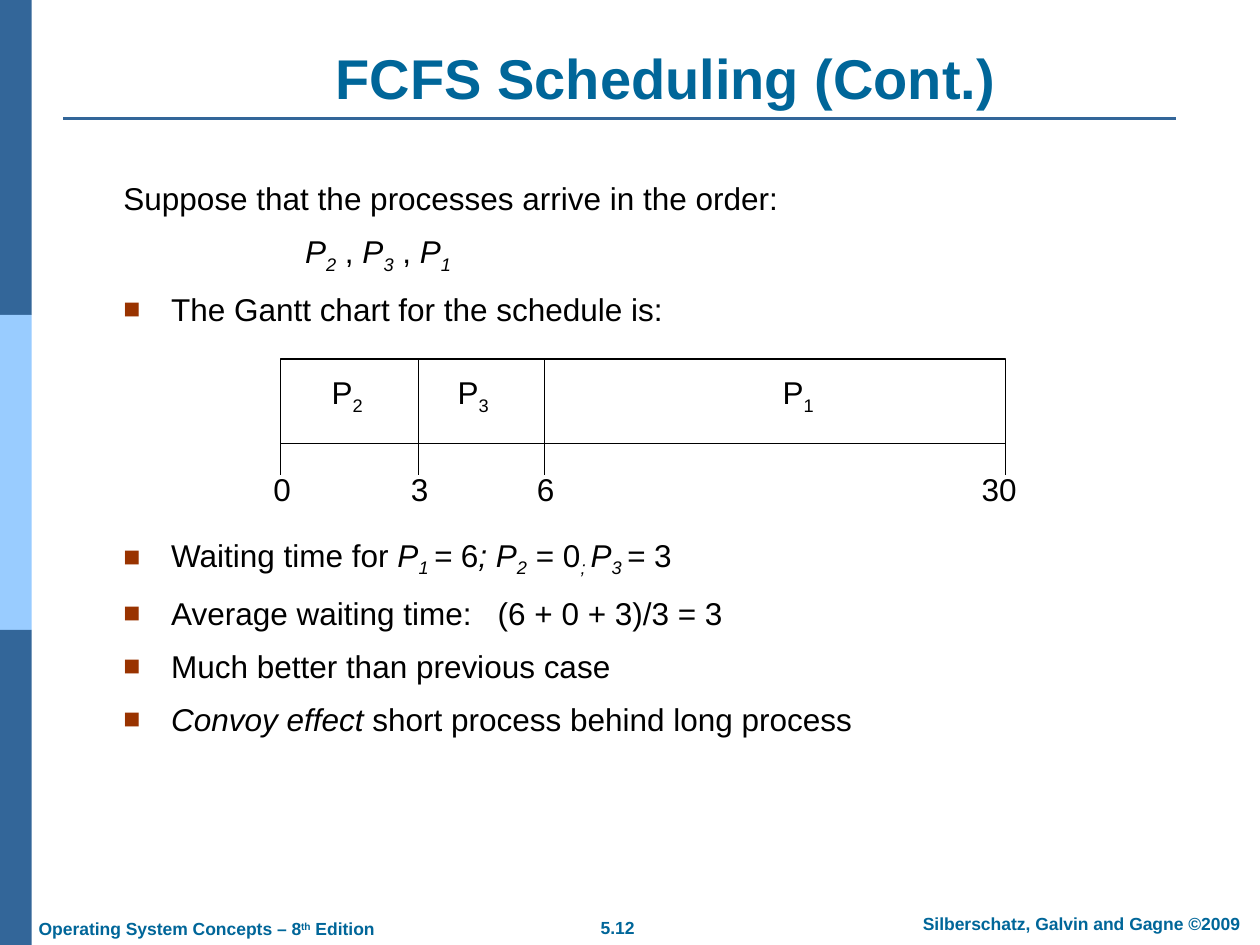
from dataclasses import dataclass

from lxml.etree import SubElement
from pptx import Presentation
from pptx.dml.color import RGBColor
from pptx.enum.shapes import MSO_CONNECTOR, MSO_SHAPE
from pptx.enum.text import MSO_ANCHOR, PP_ALIGN
from pptx.oxml.ns import qn
from pptx.util import Cm, Pt


@dataclass(frozen=True)
class Theme:
    face: str = "Arial"
    dark: str = "336699"
    light: str = "99CCFF"
    head: str = "006699"
    ink: str = "000000"
    paper: str = "FFFFFF"
    bullet: str = "993300"
    title: int = 32
    body: int = 18
    foot: int = 10


THEME = Theme()
BODY = {"size": THEME.body, "color": THEME.ink}
FOOT = {"size": THEME.foot, "color": THEME.head, "bold": True}
TITLE = {**FOOT, "size": THEME.title}
SHIFTS = {"^": "30000", "_": "-25000"}
GAP = 8.7
CHART_GAP = 118.7

FEET = [
    (11.2, 18.36, 2.5, PP_ALIGN.CENTER, [("5.12", "")]),
    (18.03, 18.29, 7.54, PP_ALIGN.CENTER,
     [("Silberschatz, Galvin and Gagne ©2009", "")]),
    (0.53, 18.39, 8, PP_ALIGN.LEFT,
     [("Operating System Concepts – 8", ""), ("th", "^"), (" Edition", "")]),
]

LINES = [
    ("plain", 0, [("Suppose that the processes arrive in the order:", "")]),
    ("order", GAP, [("P", "i"), ("2", "i_"), (" , ", ""), ("P", "i"), ("3", "i_"),
                    (" , ", ""), ("P", "i"), ("1", "i_")]),
    ("bullet", GAP, [("The Gantt chart for the schedule is:", "")]),
    ("bullet", CHART_GAP, [
        ("Waiting time for ", ""), ("P", "i"), ("1 ", "i_"), ("=", "i"), (" 6", ""),
        ("; P", "i"), ("2", "i_"), (" = 0", ""), ("; ", "i_"), ("P", "i"),
        ("3 ", "i_"), ("= ", "i"), ("3", "")]),
    ("bullet", GAP, [("Average waiting time:   (6 + 0 + 3)/3 = 3", "")]),
    ("bullet", GAP, [("Much better than previous case", "")]),
    ("bullet", GAP, [("Convoy effect", "i"), (" short process behind long process", "")]),
]

CHART_TOP, CHART_BASE, TICK_END = 7.24, 8.94, 9.58
MARKS = [("0", 5.66, 5.69), ("3", 8.43, 8.46), ("6", 10.97, 11), ("30", 20.27, 20.14)]
TASKS = [("2", 7), ("3", 9.54), ("1", 16.09)]


def add_bar(shapes, left, top, width, height, fill, line=None):
    bar = shapes.add_shape(MSO_SHAPE.RECTANGLE, Cm(left), Cm(top), Cm(width), Cm(height))
    bar.shadow.inherit = False
    bar.fill.solid()
    bar.fill.fore_color.rgb = RGBColor.from_string(fill)
    if line:
        bar.line.color.rgb = RGBColor.from_string(line)
        bar.line.width = Pt(0.75)
    else:
        bar.line.fill.background()


def add_line(shapes, start, end, color=THEME.ink, width=0.75):
    line = shapes.add_connector(MSO_CONNECTOR.STRAIGHT, *map(Cm, start + end))
    line.line.color.rgb = RGBColor.from_string(color)
    line.line.width = Pt(width)
    SubElement(line._element.spPr, qn("a:effectLst"))


def add_box(shapes, left, top, width, height, anchor=MSO_ANCHOR.TOP):
    frame = shapes.add_textbox(Cm(left), Cm(top), Cm(width), Cm(height)).text_frame
    frame.word_wrap = True
    frame.vertical_anchor = anchor
    return frame


def add_runs(para, runs, form):
    for text, style in runs:
        run = para.add_run()
        run.text = text
        values = {
            "name": THEME.face,
            "size": Pt(form["size"]),
            "bold": form.get("bold", False),
            "italic": "i" in style,
        }
        for key, value in values.items():
            setattr(run.font, key, value)
        run.font.color.rgb = RGBColor.from_string(form["color"])
        for sign, shift in SHIFTS.items():
            if sign in style:
                run._r.get_or_add_rPr().set("baseline", shift)


def add_label(shapes, place, runs, form, align=PP_ALIGN.CENTER, anchor=MSO_ANCHOR.TOP):
    para = add_box(shapes, *place, anchor).paragraphs[0]
    para.alignment = align
    add_runs(para, runs, form)


def set_indent(para, kind):
    left, first = {"plain": (0, 0), "order": (3.66, 0), "bullet": (0.96, -0.96)}[kind]
    props = para._p.get_or_add_pPr()
    props.set("marL", str(Cm(left)))
    props.set("indent", str(Cm(first)))
    if kind == "bullet":
        tint = SubElement(props, qn("a:buClr"))
        SubElement(tint, qn("a:srgbClr"), val=THEME.bullet)
        SubElement(props, qn("a:buSzPct"), val="90000")
        SubElement(props, qn("a:buFont"), typeface=THEME.face)
        SubElement(props, qn("a:buChar"), char="■")


def add_body(shapes):
    frame = add_box(shapes, 2.24, 3.48, 22.86, 12.6)
    for place, (kind, gap, runs) in enumerate(LINES):
        para = frame.add_paragraph() if place else frame.paragraphs[0]
        set_indent(para, kind)
        para.space_before = Pt(gap)
        add_runs(para, runs, BODY)


def add_chart(shapes):
    left, right = MARKS[0][1], MARKS[-1][1]
    add_bar(shapes, left, CHART_TOP, right - left, CHART_BASE - CHART_TOP,
            THEME.paper, THEME.ink)
    for text, edge, mid in MARKS:
        add_line(shapes, (edge, CHART_BASE), (edge, TICK_END))
        if left < edge < right:
            add_line(shapes, (edge, CHART_TOP), (edge, CHART_BASE))
        add_label(shapes, (mid - 1, 9.35, 2, 1.02), [(text, "")], BODY,
                  anchor=MSO_ANCHOR.MIDDLE)
    for index, mid in TASKS:
        add_label(shapes, (mid - 1, 7.39, 2, 1.12), [("P", ""), (index, "_")], BODY,
                  anchor=MSO_ANCHOR.MIDDLE)


def main():
    deck = Presentation()
    deck.slide_width, deck.slide_height = Cm(25.4), Cm(19.05)
    shapes = deck.slides.add_slide(deck.slide_layouts[6]).shapes
    for step, fill in enumerate((THEME.dark, THEME.light, THEME.dark)):
        add_bar(shapes, 0, step * 6.35, 0.64, 6.35, fill)
    add_line(shapes, (1.27, 2.39), (23.7, 2.39), THEME.dark, 1.5)
    for left, top, width, align, runs in FEET:
        add_label(shapes, (left, top, width, 0.69), runs, FOOT, align)
    add_label(shapes, (2.72, 0.76, 21.41, 1.6), [("FCFS Scheduling (Cont.)", "")],
              TITLE, anchor=MSO_ANCHOR.BOTTOM)
    add_body(shapes)
    add_chart(shapes.add_group_shape().shapes)
    deck.save("out.pptx")


if __name__ == "__main__":
    main()
